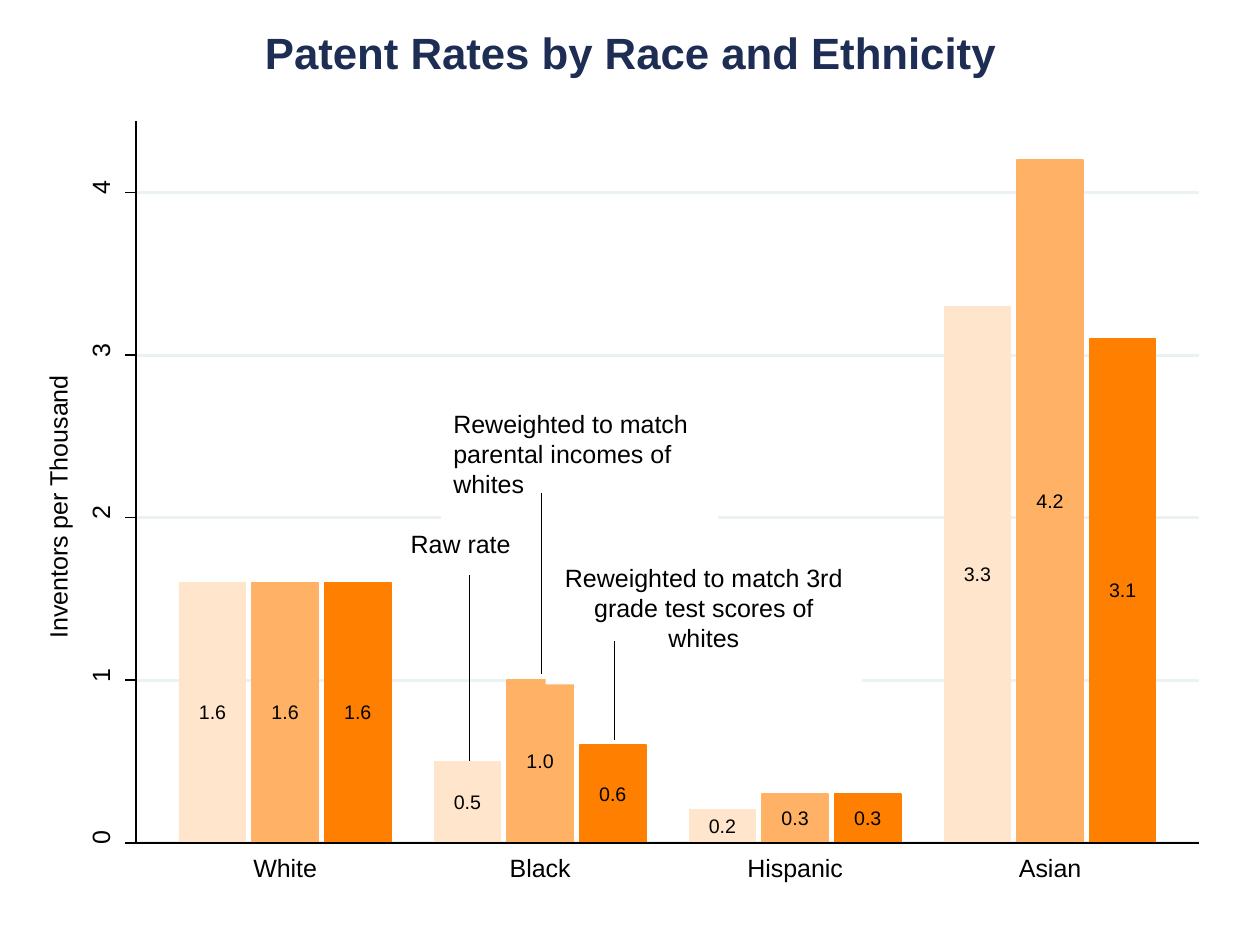
from lxml import etree
from pptx import Presentation
from pptx.chart.data import CategoryChartData
from pptx.dml.color import RGBColor
from pptx.enum.chart import XL_CHART_TYPE, XL_LABEL_POSITION, XL_TICK_MARK
from pptx.enum.shapes import MSO_CONNECTOR, MSO_SHAPE
from pptx.enum.text import MSO_ANCHOR, PP_ALIGN
from pptx.oxml import parse_xml
from pptx.oxml.ns import nsdecls, qn
from pptx.util import Cm, Pt

COLUMNS = XL_CHART_TYPE.COLUMN_CLUSTERED
LABEL_CENTER = XL_LABEL_POSITION.CENTER
TICK_OUTSIDE = XL_TICK_MARK.OUTSIDE
LINE, RECTANGLE = MSO_CONNECTOR.STRAIGHT, MSO_SHAPE.RECTANGLE
TOP, MIDDLE = MSO_ANCHOR.TOP, MSO_ANCHOR.MIDDLE
LEFT, CENTER = PP_ALIGN.LEFT, PP_ALIGN.CENTER

FONT = "Arial"
BLACK, WHITE, NAVY, GRID = "000000", "FFFFFF", "1E2D53", "EAF2F3"
TEXT_SIZE, LABEL_SIZE, TITLE_SIZE = 14.3, 11.2, 25
SCALE_MAXIMUM = 4.44
NO_MARGINS = dict.fromkeys(("margin_left", "margin_top", "margin_right", "margin_bottom"), 0)

# Boxes are left, top, width, height in centimetres
TITLE_BOX = (3.18, 0.51, 19.05, 1.07)
CHART_BOX = (0.9, 2, 23.7, 16.2)
FRAME_BOX = (2.74, 2.44, 21.44, 14.55)  # axes and gridlines
BARS_BOX = (2.28, 0.44, 20.56, 14.55)  # bars within the chart

GROUPS = ["White", "Black", "Hispanic", "Asian"]
RATES = [
    ("Raw rate", "FFE5CC", (1.6, 0.5, 0.2, 3.3)),
    ("Reweighted to match parental incomes of whites", "FFB266", (1.6, 1.0, 0.3, 4.2)),
    ("Reweighted to match 3rd grade test scores of whites", "FF8000", (1.6, 0.6, 0.3, 3.1)),
]
# Box and leader (x, top, bottom) within the chart, and alignment, per series
CALLOUTS = [
    ((7.13, 8.53, 3.3, 1.07), (8.56, 9.6, 13.34), LEFT),
    ((7.99, 6.11, 5.59, 2.59), (10.02, 7.93, 11.59), LEFT),
    ((10.1, 9.21, 6.38, 2.59), (11.48, 10.93, 12.91), CENTER),
]


def color(value):
    return RGBColor.from_string(value)


def set_attributes(target, values):
    for name, value in values.items():
        setattr(target, name, value)


def format_font(font, size, hex_color=BLACK, bold=False):
    set_attributes(font, {"name": FONT, "size": Pt(size), "bold": bold})
    font.color.rgb = color(hex_color)


def format_line(line, hex_color, width):
    line.color.rgb = color(hex_color)
    line.width = Pt(width)


def fill_frame(frame, text, alignment, font_values, **frame_values):
    set_attributes(frame, {"text": text, **frame_values})
    paragraph = frame.paragraphs[0]
    paragraph.alignment = alignment
    format_font(paragraph.runs[0].font, *font_values)


def add_line(slide, start, end, hex_color=BLACK, width=0.88):
    connector = slide.shapes.add_connector(LINE, *map(Cm, start + end))
    format_line(connector.line, hex_color, width)
    etree.SubElement(connector._element.spPr, qn("a:effectLst"))


def add_upright_text(slide, center_x, center_y, length, text):
    """Add text that reads upwards, centred on a point."""
    height = 0.76
    box = (center_x - length / 2, center_y - height / 2, length, height)
    shape = slide.shapes.add_textbox(*map(Cm, box))
    shape.rotation = 270
    fill_frame(shape.text_frame, text, CENTER, (TEXT_SIZE,),
               word_wrap=True, vertical_anchor=MIDDLE, **NO_MARGINS)


def add_title(slide, box, text):
    title = slide.shapes.title
    set_attributes(title, dict(zip(("left", "top", "width", "height"), map(Cm, box))))
    fill_frame(title.text_frame, text, CENTER, (TITLE_SIZE, NAVY, True),
               word_wrap=True, vertical_anchor=TOP, **NO_MARGINS)


def scale_heights(box):
    """Return the height on the slide of each whole number of the scale."""
    _, top, _, height = box
    return [top + height * (1 - value / SCALE_MAXIMUM) for value in range(5)]


def add_gridlines(slide, box):
    left, _, width, _ = box
    for y in scale_heights(box):
        add_line(slide, (left, y), (left + width, y), GRID, 1.75)


def add_axes(slide, box):
    left, top, width, height = box
    bottom = top + height
    add_line(slide, (left, bottom), (left, top))
    add_line(slide, (left, bottom), (left + width, bottom))
    for value, y in enumerate(scale_heights(box)):
        add_line(slide, (left, y), (left - 0.23, y))
        add_upright_text(slide, left - 0.72, y - 0.1, 0.6, str(value))
    add_upright_text(slide, left - 1.58, top + 7.78, 6, "Inventors per Thousand")


def place_bars(chart, size, box):
    """Fix the inner plot area, as fractions of the chart size."""
    parts = "".join(f'<c:{name} val="{value / whole:.4f}"/>'
                    for name, value, whole in zip("xywh", box, size * 2))
    layout = parse_xml(f'<c:layout {nsdecls("c")}><c:manualLayout>'
                       '<c:layoutTarget val="inner"/><c:xMode val="edge"/>'
                       f'<c:yMode val="edge"/>{parts}</c:manualLayout></c:layout>')
    plot_area = chart._chartSpace.chart.plotArea
    for old in plot_area.findall(qn("c:layout")):
        plot_area.remove(old)
    plot_area.insert(0, layout)


def add_rate_chart(slide, box):
    data = CategoryChartData(number_format="0.0")
    data.categories = GROUPS
    for name, _, values in RATES:
        data.add_series(name, values)
    chart = slide.shapes.add_chart(COLUMNS, *map(Cm, box), data).chart
    set_attributes(chart, {"has_legend": False, "has_title": False})
    format_font(chart.font, TEXT_SIZE)

    # Bars and their values
    plot = chart.plots[0]
    set_attributes(plot, {"gap_width": 66, "overlap": -10, "vary_by_categories": False,
                          "has_data_labels": True})
    set_attributes(plot.data_labels, {"show_value": True, "position": LABEL_CENTER,
                                      "number_format": "0.0",
                                      "number_format_is_linked": False})
    format_font(plot.data_labels.font, LABEL_SIZE)
    for series, (_, fill, _) in zip(plot.series, RATES):
        series.format.fill.solid()
        series.format.fill.fore_color.rgb = color(fill)
        format_line(series.format.line, fill, 0.88)

    # The axis lines are wider than the bars' area and are drawn by add_axes
    set_attributes(chart.value_axis, {"minimum_scale": 0, "maximum_scale": SCALE_MAXIMUM,
                                      "major_unit": 1, "has_major_gridlines": False,
                                      "visible": False})
    chart.category_axis.major_tick_mark = TICK_OUTSIDE
    chart.category_axis.format.line.fill.background()
    format_font(chart.category_axis.tick_labels.font, TEXT_SIZE)
    place_bars(chart, box[2:], BARS_BOX)


def add_callout(slide, box, text, alignment):
    shape = slide.shapes.add_shape(RECTANGLE, *map(Cm, box))
    shape.shadow.inherit = False
    shape.fill.solid()
    shape.fill.fore_color.rgb = color(WHITE)
    shape.line.fill.background()
    fill_frame(shape.text_frame, text, alignment, (TEXT_SIZE,),
               word_wrap=True, vertical_anchor=TOP)


def add_callouts(slide, chart_box):
    left, top = chart_box[:2]
    for (name, _, _), ((x, y, width, height), _, alignment) in zip(RATES, CALLOUTS):
        add_callout(slide, (left + x, top + y, width, height), name, alignment)
    # Leaders lie above all the boxes
    for _, (x, start, end), _ in CALLOUTS:
        add_line(slide, (left + x, top + start), (left + x, top + end), BLACK, 0.6)


def main():
    presentation = Presentation()
    set_attributes(presentation, {"slide_width": Cm(25.4), "slide_height": Cm(19.05)})
    slide = presentation.slides.add_slide(presentation.slide_layouts[5])
    add_title(slide, TITLE_BOX, "Patent Rates by Race and Ethnicity")
    add_gridlines(slide, FRAME_BOX)
    add_rate_chart(slide, CHART_BOX)
    add_axes(slide, FRAME_BOX)
    add_callouts(slide, CHART_BOX)
    presentation.save("out.pptx")


if __name__ == "__main__":
    main()
